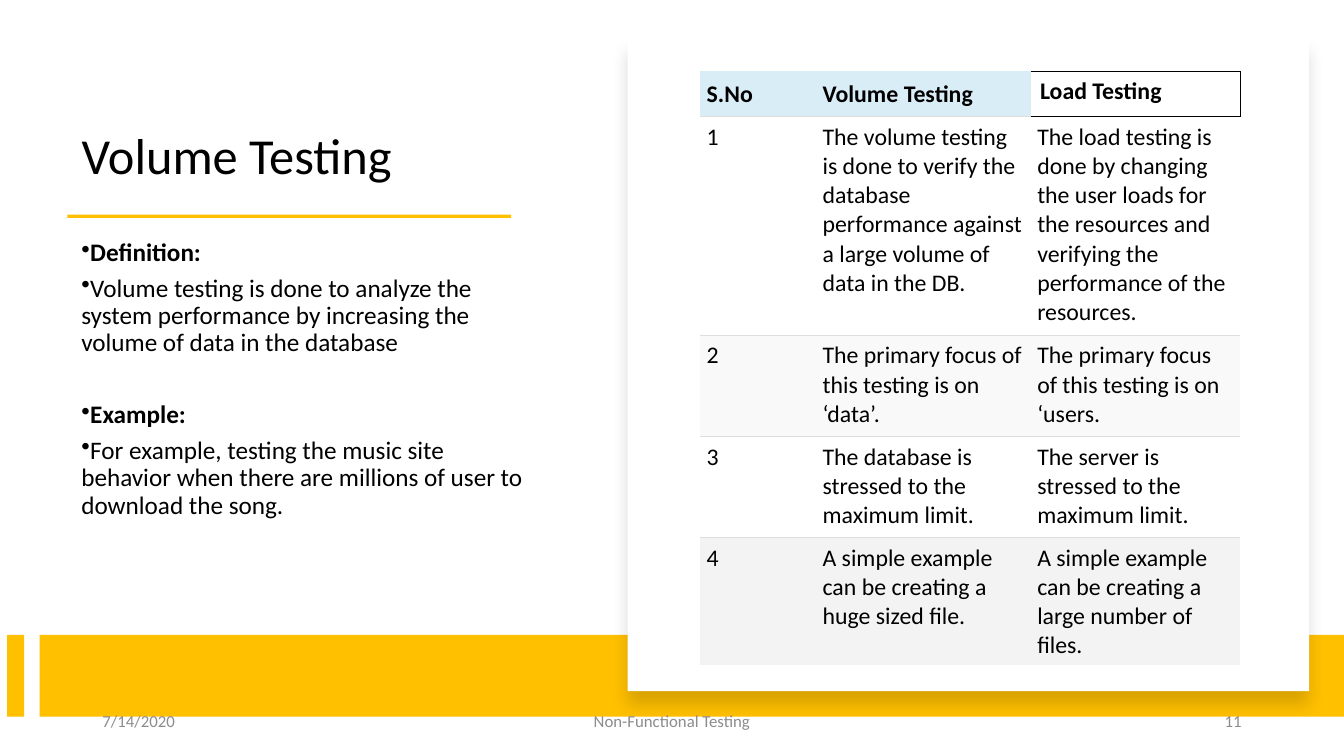
from typing import NamedTuple

from lxml import etree
from pptx import Presentation
from pptx import util as u
from pptx.dml import color
from pptx.enum import shapes, text
from pptx.oxml import ns

FONT = "Calibri"
GOLD = "FFC000"
GREY = "DDDDDD"
BLACK = "000000"
PALE = "D9EDF7"
NO_STYLE = "{2D5ABB26-0587-4C30-8999-92F81FD0307C}"


class Box(NamedTuple):
    left: float
    top: float
    width: float
    height: float

    def place(self) -> list:
        return [u.Cm(side) for side in self]


class Bar(NamedTuple):
    box: Box
    fill: str


class Note(NamedTuple):
    box: Box
    words: str
    align: text.PP_ALIGN


class Point(NamedTuple):
    words: str
    bold: bool
    before: int


class Row(NamedTuple):
    height: float
    fill: str
    edges: str
    words: tuple


BARS = [
    Bar(Box(1.7, 5.41, 11.18, 0.08), GOLD),
    Bar(Box(0.18, 16, 0.43, 2.06), GOLD),
    Bar(Box(1, 16, 32.87, 2.06), GOLD),
]
PANEL = Bar(Box(15.82, 0.99, 17.17, 16.43), "FFFFFF")
TITLE = Box(1.8, 1.47, 11.89, 3.33)
BODY = Box(1.8, 5.64, 11.89, 9.75)
GRID = Box(17.65, 1.8, 13.61, 14.79)
COLS = [2.92, 5.41, 5.28]

POINTS = [
    Point("Definition:", True, 0),
    Point("Volume testing is done to analyze the system performance by "
          "increasing the volume of data in the database", False, 0),
    Point("Example:", True, 26),
    Point("For example, testing the music site behavior when there are "
          "millions of user to download the song.", False, 0),
]

ROWS = [
    Row(1.14, PALE, "B", ("S.No", "Volume Testing", "Load Testing")),
    Row(5.5, "FFFFFF", "TB", (
        "1",
        "The volume testing is done to verify the database performance "
        "against a large volume of data in the DB.",
        "The load testing is done by changing the user loads for the "
        "resources and verifying the performance of the resources.")),
    Row(2.55, "F9F9F9", "TB", (
        "2",
        "The primary focus of this testing is on ‘data’.",
        "The primary focus of this testing is on ‘users.")),
    Row(2.55, "FFFFFF", "TB", (
        "3",
        "The database is stressed to the maximum limit.",
        "The server is stressed to the maximum limit.")),
    Row(3.23, "F3F3F3", "T", (
        "4",
        "A simple example can be creating a huge sized file.",
        "A simple example can be creating a large number of files.")),
]

NOTES = [
    Note(Box(2.33, 17.66, 7.62, 1.01), "7/14/2020", text.PP_ALIGN.LEFT),
    Note(Box(11.22, 17.66, 11.43, 1.01), "Non-Functional Testing", text.PP_ALIGN.CENTER),
    Note(Box(23.92, 17.66, 7.62, 1.01), "11", text.PP_ALIGN.RIGHT),
]


def paint(code: str) -> color.RGBColor:
    return color.RGBColor.from_string(code)


def add_tag(parent, name: str, **attrs):
    return etree.SubElement(parent, ns.qn(f"a:{name}"), attrs)


def style(para, size: float, bold: bool = False, tint: str = BLACK) -> None:
    for run in para.runs:
        run.font.name = FONT
        run.font.size = u.Pt(size)
        run.font.bold = bold
        run.font.color.rgb = paint(tint)


def draw_bar(slide, bar: Bar):
    shape = slide.shapes.add_shape(shapes.MSO_SHAPE.RECTANGLE, *bar.box.place())
    shape.shadow.inherit = False
    shape.fill.solid()
    shape.fill.fore_color.rgb = paint(bar.fill)
    shape.line.fill.background()
    return shape


def draw_panel(slide) -> None:
    props = draw_bar(slide, PANEL)._element.spPr
    glow = add_tag(props.find(ns.qn("a:effectLst")), "outerShdw",
                   blurRad=str(u.Pt(11)), dist=str(u.Pt(10)), dir="5400000",
                   algn="t", rotWithShape="0")
    add_tag(add_tag(glow, "srgbClr", val=BLACK), "alpha", val="15000")


def draw_title(slide) -> None:
    title = slide.shapes.title
    title.left, title.top, title.width, title.height = TITLE.place()
    frame = title.text_frame
    frame.text = "Volume Testing"
    frame.word_wrap = True
    frame.auto_size = text.MSO_AUTO_SIZE.NONE
    frame.vertical_anchor = text.MSO_ANCHOR.BOTTOM
    para = frame.paragraphs[0]
    para.alignment = text.PP_ALIGN.LEFT
    para.line_spacing = 0.9
    style(para, 36)


def draw_body(slide) -> None:
    frame = slide.shapes.add_textbox(*BODY.place()).text_frame
    frame.word_wrap = True
    frame.margin_top = u.Cm(0.41)
    frame.text = "\n".join(point.words for point in POINTS)
    for para, point in zip(frame.paragraphs, POINTS):
        para.line_spacing = 0.9
        para.space_before = u.Pt(point.before)
        para.space_after = u.Pt(6)
        style(para, 18, point.bold)
        props = para._p.get_or_add_pPr()
        props.set("marL", "0")
        props.set("indent", str(-u.Cm(0.64)))
        add_tag(props, "buChar", char="•")


def draw_edge(cell, side: str, tint: str, width: float) -> None:
    line = add_tag(cell._tc.get_or_add_tcPr(), f"ln{side}", w=str(u.Pt(width)))
    add_tag(add_tag(line, "solidFill"), "srgbClr", val=tint)


def fill_cell(cell, words: str, row: Row, head: bool, framed: bool) -> None:
    cell.text = words
    style(cell.text_frame.paragraphs[0], 17, head)
    across, down = (0.23, 0.13) if framed else (0.16, 0.16)
    cell.margin_left = cell.margin_right = u.Cm(across)
    cell.margin_top = cell.margin_bottom = u.Cm(down)
    if head and not framed:
        cell.vertical_anchor = text.MSO_ANCHOR.MIDDLE
    for side in "RTB" if framed else row.edges:
        draw_edge(cell, side, BLACK if framed else GREY, 0.75 if framed else 0.6)
    if framed:
        cell.fill.background()
    else:
        cell.fill.solid()
        cell.fill.fore_color.rgb = paint(row.fill)


def draw_table(slide) -> None:
    table = slide.shapes.add_table(len(ROWS), len(COLS), *GRID.place()).table
    table.first_row = table.horz_banding = False
    table._tbl.tblPr.find(ns.qn("a:tableStyleId")).text = NO_STYLE
    for col, width in zip(table.columns, COLS):
        col.width = u.Cm(width)
    for i, row in enumerate(ROWS):
        table.rows[i].height = u.Cm(row.height)
        for j, words in enumerate(row.words):
            head = i == 0
            framed = head and j == len(COLS) - 1
            fill_cell(table.cell(i, j), words, row, head, framed)
    draw_edge_free = table.cell(1, len(COLS) - 1)._tc.tcPr
    draw_edge_free.remove(draw_edge_free.find(ns.qn("a:lnT")))


def draw_note(slide, note: Note) -> None:
    frame = slide.shapes.add_textbox(*note.box.place()).text_frame
    frame.word_wrap = True
    frame.vertical_anchor = text.MSO_ANCHOR.MIDDLE
    frame.text = note.words
    para = frame.paragraphs[0]
    para.alignment = note.align
    style(para, 12, tint="8C8C8C")


def main() -> None:
    deck = Presentation()
    deck.slide_width, deck.slide_height = u.Cm(33.87), u.Cm(19.05)
    slide = deck.slides.add_slide(deck.slide_layouts[5])
    draw_title(slide)
    for bar in BARS:
        draw_bar(slide, bar)
    draw_body(slide)
    draw_panel(slide)
    draw_table(slide)
    for note in NOTES:
        draw_note(slide, note)
    deck.save("out.pptx")


if __name__ == "__main__":
    main()
